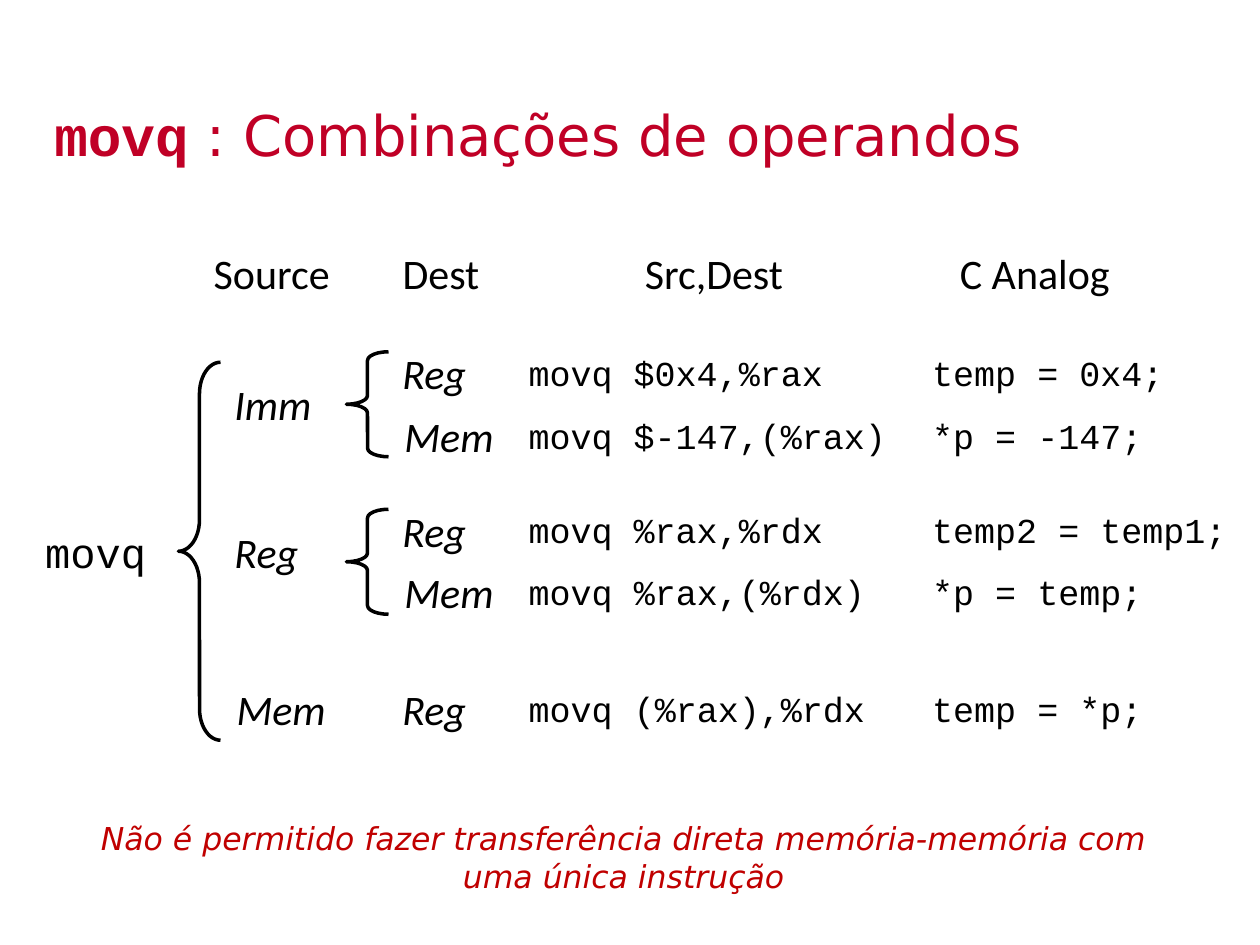
import pptx
import pptx.util
import pptx.dml.color
import pptx.enum.shapes
import pptx.enum.text

Pt = pptx.util.Pt
RGB = pptx.dml.color.RGBColor
Align = pptx.enum.text.PP_ALIGN
Anchor = pptx.enum.text.MSO_ANCHOR
Fit = pptx.enum.text.MSO_AUTO_SIZE

BLACK = RGB(0, 0, 0)
CRIMSON = RGB(0xC0, 0x00, 0x26)
RED = RGB(0xC0, 0x00, 0x00)
SANS, MONO, HEAD = "Calibri", "Courier New", "DejaVu Sans"

TITLE = [("movq", MONO, True), (" : Combinações de operandos", HEAD, False)]
NOTE = ("Não é permitido fazer transferência direta memória-memória com "
        "uma única instrução")

# text, left
HEADS = [("Source", 115), ("Dest", 223), ("Src,Dest", 361.4),
         ("C Analog", 541.4)]
# text, top
SOURCES = [("Imm", 212.8), ("Reg", 297.1), ("Mem", 387.1)]
# top, destination, instruction, C code
ROWS = [
    (195.1, "Reg", "movq $0x4,%rax", "temp = 0x4;"),
    (231.1, "Mem", "movq $-147,(%rax)", "*p = -147;"),
    (285.1, "Reg", "movq %rax,%rdx", "temp2 = temp1;"),
    (320.4, "Mem", "movq %rax,(%rdx)", "*p = temp;"),
    (387.1, "Reg", "movq (%rax),%rdx", "temp = *p;"),
]
# left, top, height, curve
BRACES = [(102, 207, 216, 0.75), (198, 201, 60, 0.208),
          (198, 291, 60, 0.208)]

WIDTHS = {"Imm": 58.8, "Reg": 51, "Mem": 66, "Source": 81,
          "Dest": 58.8, "Src,Dest": 94, "C Analog": 100.6}
SRC_X, DEST_X, ASM_X, C_X = 126.9, 222.8, 295, 525.6
HEAD_Y, CODE_DY = 138.2, 2

prs = pptx.Presentation()
prs.slide_width, prs.slide_height = Pt(720), Pt(540)
slide = prs.slides.add_slide(prs.slide_layouts[5])


def style(run, font, size, color=BLACK, bold=False, italic=False):
    face = run.font
    face.name, face.size = font, Pt(size)
    face.bold, face.italic = bold, italic
    face.color.rgb = color


def label(text, x, y, font=SANS, size=24, italic=False):
    """Add one unwrapped line in a box that fits its text."""
    wide = WIDTHS.get(text, len(text) * size * 0.6 + 15)
    box = slide.shapes.add_textbox(Pt(x), Pt(y), Pt(wide), Pt(size * 1.25 + 6))
    frame = box.text_frame
    frame.word_wrap = False
    frame.auto_size = Fit.SHAPE_TO_FIT_TEXT
    frame.text = text
    style(frame.paragraphs[0].runs[0], font, size, italic=italic)


def kind(text, x, y):
    """Add an operand kind; the wider Mem sits slightly to the right."""
    label(text, x + (1.2 if text == "Mem" else 0), y, italic=True)


title = slide.shapes.title
title.left, title.top, title.width, title.height = (
    Pt(23.8), Pt(54), Pt(629.3), Pt(45.4))
title.text_frame.vertical_anchor = Anchor.MIDDLE
para = title.text_frame.paragraphs[0]
para.alignment = Align.LEFT
for text, font, bold in TITLE:
    run = para.add_run()
    run.text = text
    style(run, font, 32, CRIMSON, bold=bold)

box = slide.shapes.add_textbox(Pt(36), Pt(468), Pt(640.8), Pt(41.8))
frame = box.text_frame
frame.word_wrap = True
frame.margin_left = frame.margin_right = 0
frame.margin_top = frame.margin_bottom = 0
frame.text = NOTE
para = frame.paragraphs[0]
para.alignment, para.space_before = Align.CENTER, Pt(3.6)
style(para.runs[0], HEAD, 18, RED, italic=True)

label("movq", 18.7, 297.1, MONO)
for text, x in HEADS:
    label(text, x, HEAD_Y)
for text, y in SOURCES:
    kind(text, SRC_X, y)
for y, dest, asm, code in ROWS:
    kind(dest, DEST_X, y)
    label(asm, ASM_X, y + CODE_DY, MONO, 20)
    label(code, C_X, y + CODE_DY, MONO, 20)

for x, y, high, curve in BRACES:
    brace = slide.shapes.add_shape(
        pptx.enum.shapes.MSO_SHAPE.LEFT_BRACE, Pt(x), Pt(y), Pt(24), Pt(high))
    brace.adjustments[0] = curve
    brace.shadow.inherit = False
    brace.fill.background()
    brace.line.color.rgb = BLACK
    brace.line.width = Pt(2)

prs.save("out.pptx")
